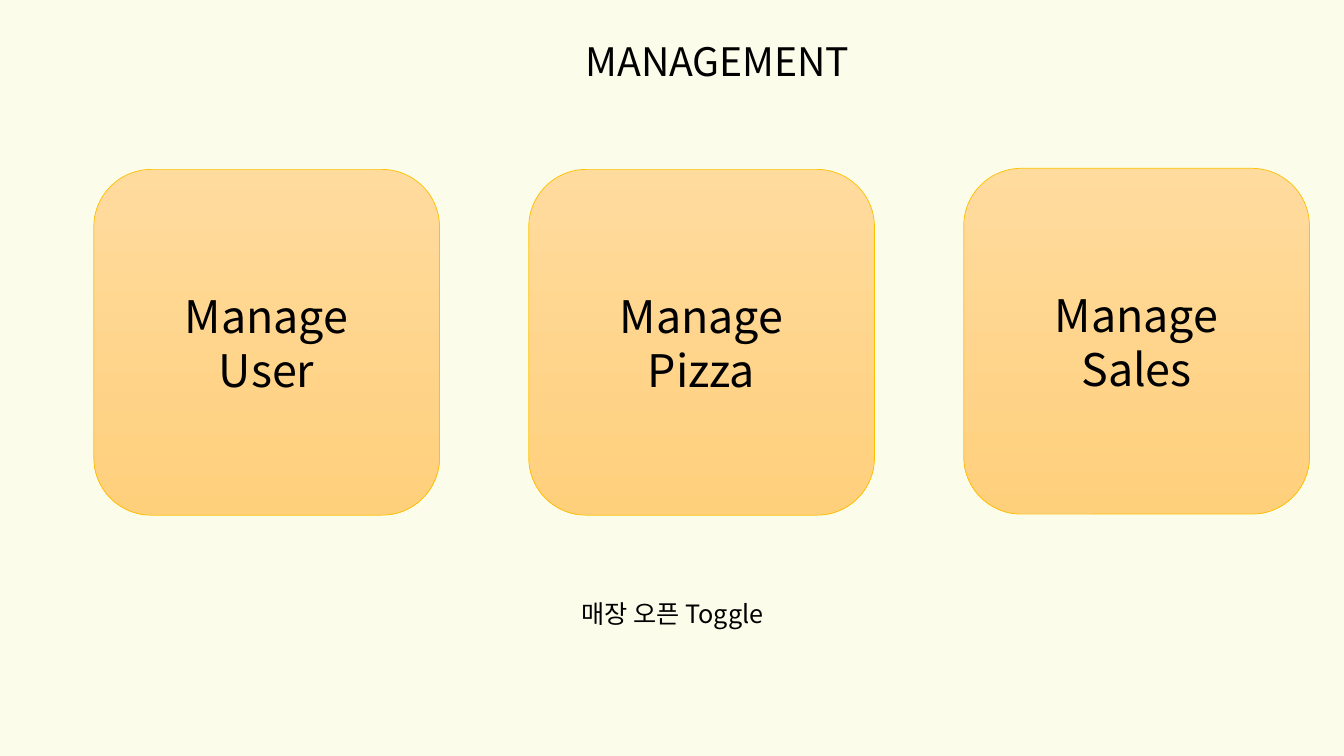
import pptx
import pptx.dml.color
import pptx.enum.shapes
import pptx.enum.text
import pptx.oxml
import pptx.oxml.ns
import pptx.util

Pt = pptx.util.Pt
FONT = "Noto Sans CJK KR"
CARD_SIZE, CARD_STEP = 247, 310.7


def rgb(color):
    return pptx.dml.color.RGBColor.from_string(color)


def write_lines(tf, lines, size):
    """Write centred black paragraphs, with one font for Latin and Korean."""
    tf.word_wrap = True
    for i, line in enumerate(lines):
        p = tf.add_paragraph() if i else tf.paragraphs[0]
        p.text = line
        p.alignment = pptx.enum.text.PP_ALIGN.CENTER
        p.font.size = Pt(size)
        p.font.name = FONT
        p.font.color.rgb = rgb("000000")
        ea = pptx.oxml.parse_xml(
            f'<a:ea {pptx.oxml.ns.nsdecls("a")} typeface="{FONT}"/>')
        p._p.pPr.find(pptx.oxml.ns.qn("a:defRPr")).append(ea)


def add_label(s, left, top, width, height, text, size):
    tf = s.shapes.add_textbox(Pt(left), Pt(top), Pt(width), Pt(height)).text_frame
    write_lines(tf, [text], size)
    tf.auto_size = pptx.enum.text.MSO_AUTO_SIZE.SHAPE_TO_FIT_TEXT


def add_card(s, left, top, size, lines):
    sp = s.shapes.add_shape(pptx.enum.shapes.MSO_SHAPE.ROUNDED_RECTANGLE,
                            Pt(left), Pt(top), Pt(size), Pt(size))
    sp.shadow.inherit = False
    sp.fill.gradient()
    sp.fill.gradient_angle = 270
    for stop, color in zip(sp.fill.gradient_stops, ("FFDB9E", "FFD07C")):
        stop.color.rgb = rgb(color)
    sp.line.color.rgb = rgb("FFC000")
    sp.line.width = Pt(0.5)
    sp.text_frame.vertical_anchor = pptx.enum.text.MSO_ANCHOR.MIDDLE
    write_lines(sp.text_frame, lines, 32)


def add_cards(s, left, tops):
    for i, (subject, top) in enumerate(zip(("User", "Pizza", "Sales"), tops)):
        add_card(s, left + i * CARD_STEP, top, CARD_SIZE, ["Manage", subject])


def build_management_slide(prs):
    s = prs.slides.add_slide(prs.slide_layouts[6])
    s.background.fill.solid()
    s.background.fill.fore_color.rgb = rgb("FBFDEA")
    add_cards(s, 67, (121, 121, 120.25))
    add_label(s, 232.5, 23, 560, 41, "MANAGEMENT", 28)
    add_label(s, 369.3, 424, 222, 29, "매장 오픈 Toggle", 18)


def main():
    prs = pptx.Presentation()
    prs.slide_width, prs.slide_height = Pt(960), Pt(540)
    build_management_slide(prs)
    prs.save("out.pptx")


if __name__ == "__main__":
    main()
